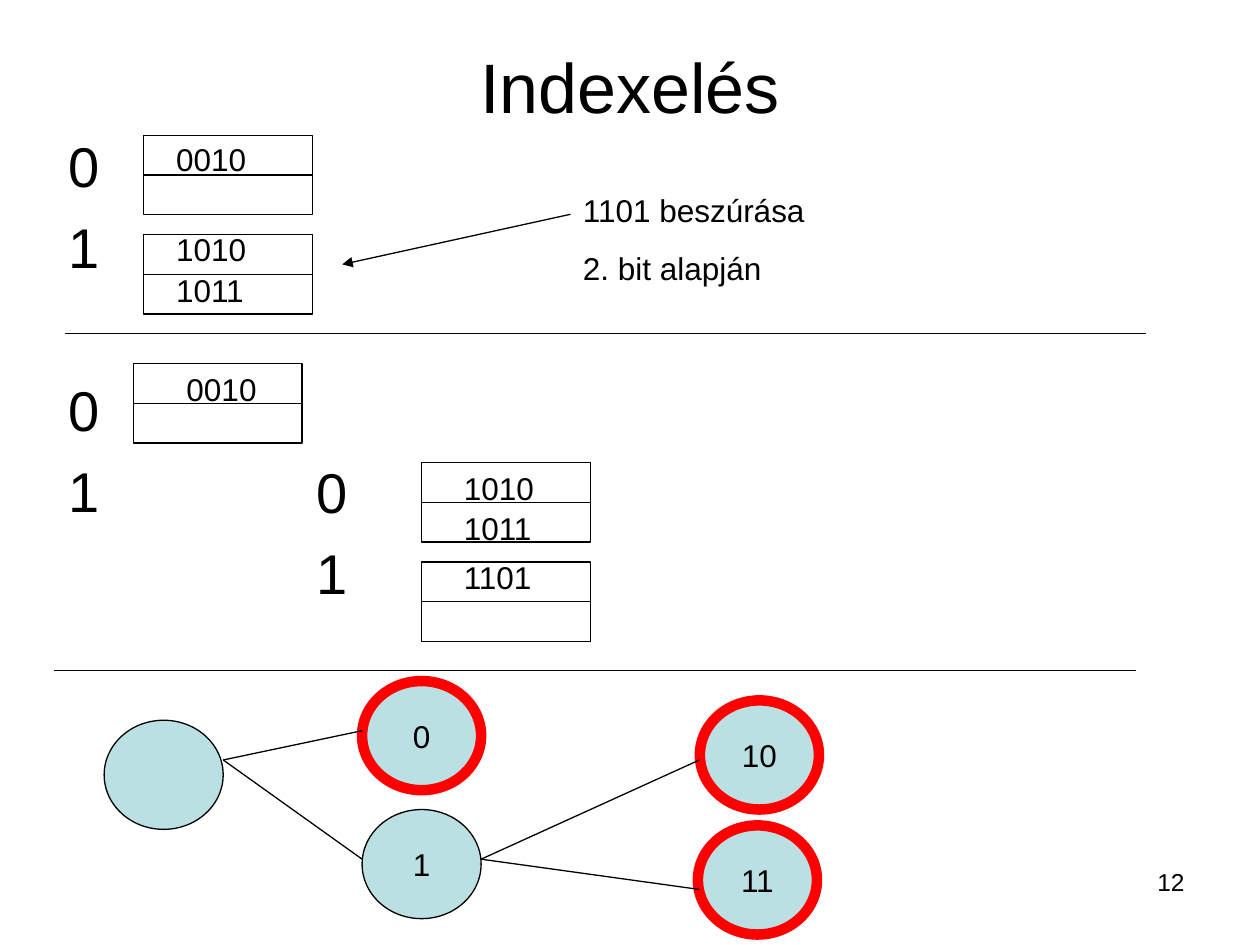
from lxml import etree
from pptx import Presentation
from pptx.dml.color import RGBColor
from pptx.enum.shapes import MSO_CONNECTOR, MSO_SHAPE
from pptx.enum.text import MSO_ANCHOR as ANCHOR, PP_ALIGN as ALIGN
from pptx.oxml.ns import qn
from pptx.util import Cm, Pt

COLORS = {"ink": "000000", "node": "BBE0E3", "leaf": "FF0000"}
BUCKET_W, BUCKET_H = 3.4, 1.6
NODE_W, NODE_H = 2.4, 2.2
DIGIT_TOP, DIGIT_PITCH = 2.53, 1.64

BUCKETS = [(2.9, 2.73), (2.9, 4.73), (2.69, 7.33), (8.5, 9.33), (8.5, 11.33)]
KEYS = [
    ("0010", 3.3, 2.69), ("1010", 3.3, 4.52), ("1011", 3.3, 5.33),
    ("0010", 3.51, 7.33),
    ("1010", 9.1, 9.33), ("1011", 9.1, 10.13), ("1101", 9.1, 11.13),
]
DIGIT_PAIRS = [(1.14, 0), (1.14, 3), (6.14, 4)]
NODES = [
    ("", 2.1, 14.52, False), ("1", 7.3, 16.32, False),
    ("0", 7.3, 13.73, True), ("11", 14.07, 16.64, True), ("10", 14.11, 14.12, True),
]
DIVIDERS = [(1.31, 6.73, 23.11, 6.73), (1.09, 13.52, 22.91, 13.52)]
BRANCHES = [
    (4.5, 15.32, 7.3, 14.73), (4.5, 15.32, 7.3, 17.32),
    (9.7, 17.32, 14.1, 15.32), (9.7, 17.32, 14.1, 17.93),
]


def rgb(name):
    return RGBColor.from_string(COLORS[name])


def write(tf, text, size=18, align=ALIGN.LEFT, anchor=ANCHOR.TOP, gap=0, wrap=True):
    tf.word_wrap = wrap
    tf.vertical_anchor = anchor
    for i, line in enumerate(text.split("\n")):
        p = tf.paragraphs[0] if i == 0 else tf.add_paragraph()
        p.alignment = align
        p.space_before = Pt(gap if i else 0)
        r = p.add_run()
        r.text = line
        r.font.name = "Arial"
        r.font.size = Pt(size)
        r.font.color.rgb = rgb("ink")


def add_text(slide, text, x, y, w, h, **fmt):
    sp = slide.shapes.add_textbox(Cm(x), Cm(y), Cm(w), Cm(h))
    write(sp.text_frame, text, **fmt)


def add_line(slide, x1, y1, x2, y2, arrow=False):
    cn = slide.shapes.add_connector(MSO_CONNECTOR.STRAIGHT, Cm(x1), Cm(y1), Cm(x2), Cm(y2))
    cn.line.color.rgb = rgb("ink")
    cn.line.width = Pt(0.75)
    if arrow:
        ln = cn.line._get_or_add_ln()
        etree.SubElement(ln, qn("a:tailEnd"), type="triangle")
    etree.SubElement(cn._element.spPr, qn("a:effectLst"))
    return cn


def add_outlined(slide, kind, x, y, w, h, line="ink", width=0.75):
    sp = slide.shapes.add_shape(kind, Cm(x), Cm(y), Cm(w), Cm(h))
    sp.shadow.inherit = False
    sp.fill.background()
    sp.line.color.rgb = rgb(line)
    sp.line.width = Pt(width)
    return sp


def add_bucket(slide, x, y):
    sp = add_outlined(slide, MSO_SHAPE.RECTANGLE, x, y, BUCKET_W, BUCKET_H)
    middle = y + BUCKET_H / 2
    cn = add_line(slide, x, middle, x + BUCKET_W, middle)
    cn.begin_connect(sp, 1)
    cn.end_connect(sp, 3)


def add_node(slide, label, x, y, leaf):
    line, width = ("leaf", 6) if leaf else ("ink", 0.75)
    sp = add_outlined(slide, MSO_SHAPE.OVAL, x, y, NODE_W, NODE_H, line, width)
    sp.fill.solid()
    sp.fill.fore_color.rgb = rgb("node")
    if label:
        write(sp.text_frame, label, align=ALIGN.CENTER, anchor=ANCHOR.MIDDLE, wrap=False)


def main():
    prs = Presentation()
    prs.slide_width, prs.slide_height = Cm(25.4), Cm(19.05)
    slide = prs.slides.add_slide(prs.slide_layouts[6])

    add_text(slide, "Indexelés", 1.9, 1.12, 21.59, 1.19,
             size=40, align=ALIGN.CENTER, anchor=ANCHOR.MIDDLE)
    for x, row in DIGIT_PAIRS:
        add_text(slide, "0\n1", x, DIGIT_TOP + row * DIGIT_PITCH, 1.2, 3.4, size=32, gap=8)
    for bucket in BUCKETS:
        add_bucket(slide, *bucket)
    for key, x, y in KEYS:
        add_text(slide, key, x, y, 2.2, 1.02)

    add_text(slide, "1101 beszúrása\n2. bit alapján", 11.5, 3.73, 5.41, 2.18, gap=11.2)
    add_line(slide, 11.5, 4.32, 6.9, 5.33, arrow=True)

    for node in NODES:
        add_node(slide, *node)
    for line in DIVIDERS + BRANCHES:
        add_line(slide, *line)
    add_text(slide, "12", 18.21, 17.35, 5.92, 1.32, size=14, align=ALIGN.RIGHT)

    prs.save("out.pptx")


if __name__ == "__main__":
    main()
